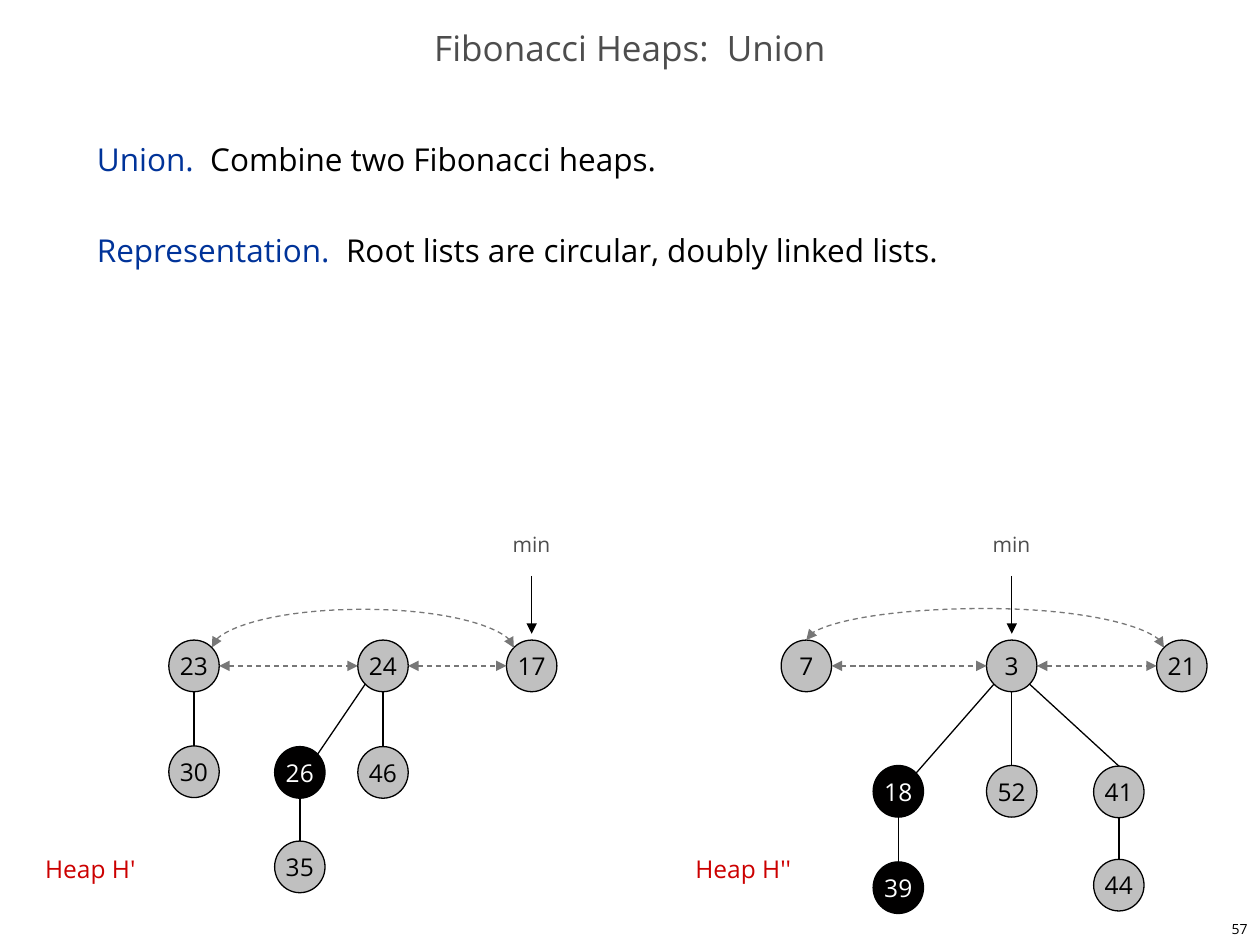
from math import cos, pi, sin
from lxml.etree import SubElement
from pptx import Presentation
from pptx.dml.color import RGBColor
from pptx.enum.dml import MSO_LINE
from pptx.enum.shapes import MSO_CONNECTOR, MSO_SHAPE
from pptx.enum.text import MSO_ANCHOR, PP_ALIGN
from pptx.oxml.ns import qn
from pptx.util import Inches, Pt

TOP, TOP_LEFT, LEFT, LOW_LEFT, LOW, LOW_RIGHT, RIGHT, TOP_RIGHT = range(8)
RX, RY = 2, 2.05
ROOT = 52.85
HEX = {"ink": "000000", "mark": "010000", "node": "C0C0C0", "link": "777777",
       "head": "4D4D4D", "term": "003399", "heap": "CC0000", "pale": "FFFFFF"}


class Deck:
    font = "Open Sans"
    cols = 100

    def __init__(self):
        self.show = Presentation()
        self.show.slide_width, self.show.slide_height = Inches(10), Inches(7.5)
        self.slide = self.show.slides.add_slide(self.show.slide_layouts[6])
        self.shapes = self.slide.shapes
        self.cell = self.show.slide_width / self.cols

    def at(self, *vals):
        return [round(val * self.cell) for val in vals]

    def color(self, name):
        return RGBColor.from_string(HEX[name])

    def put(self, item, form):
        for key, val in form.items():
            setattr(item, key, val)

    def words(self, par, runs, size, form):
        self.put(par, form)
        for term, hue in runs:
            run = par.add_run()
            run.text = term
            self.put(run.font, {"name": self.font, "size": Pt(size)})
            run.font.color.rgb = self.color(hue)

    def text(self, box, pars, size, frame=None, form=None, gap=0):
        body = self.shapes.add_textbox(*self.at(*box)).text_frame
        self.put(body, {"word_wrap": False, **(frame or {})})
        for num, runs in enumerate(pars):
            par = body.add_paragraph() if num else body.paragraphs[0]
            self.words(par, runs, size, form or {})
            if num:
                par.space_before = Pt(gap)

    def node(self, label, x, y, dark):
        oval = self.shapes.add_shape(
            MSO_SHAPE.OVAL, *self.at(x - RX, y - RY, 2 * RX, 2 * RY))
        oval.shadow.inherit = False
        oval.fill.solid()
        oval.fill.fore_color.rgb = self.color("mark" if dark else "node")
        oval.line.color.rgb = self.color("ink")
        oval.line.width = Pt(0.75)
        self.put(oval.text_frame, {"word_wrap": False,
                                   "vertical_anchor": MSO_ANCHOR.MIDDLE})
        self.words(oval.text_frame.paragraphs[0],
                   [(label, "pale" if dark else "ink")], 14,
                   {"alignment": PP_ALIGN.CENTER})
        return oval

    def line(self, ends, hue="ink", dash=False, tips=(), kind=MSO_CONNECTOR.STRAIGHT):
        line = self.shapes.add_connector(kind, *self.at(*ends))
        line.line.color.rgb = self.color(hue)
        line.line.width = Pt(0.75)
        if dash:
            line.line.dash_style = MSO_LINE.DASH
        props = line._element.spPr
        for tip in tips:
            SubElement(props.find(qn("a:ln")), qn("a:" + tip), type="triangle")
        SubElement(props, qn("a:effectLst"))
        return line

    def glue(self, line, joins):
        spot = line._element.find(".//" + qn("p:cNvCxnSpPr"))
        for tag, (oval, num) in zip(("stCxn", "endCxn"), joins):
            SubElement(spot, qn("a:" + tag), id=str(oval.shape_id), idx=str(num))

    def arc(self, x1, y1, x2, y2, rise=3.1):
        wide, tall = max(y1 - y2, 0.02), x1 - x2
        x, y = (x1 + x2 - wide) / 2, (y1 + y2 - tall) / 2
        line = self.line((x, y, x + wide, y + tall), "link", True,
                         ("headEnd", "tailEnd"), MSO_CONNECTOR.CURVE)
        props = line._element.spPr
        frame = props.find(qn("a:xfrm"))
        frame.set("rot", "5400000")
        frame.set("flipH", "1")
        geom = props.find(qn("a:prstGeom"))
        bend = geom.find(qn("a:avLst"))
        if bend is None:
            bend = SubElement(geom, qn("a:avLst"))
        SubElement(bend, qn("a:gd"), name="adj1",
                   fmla=f"val {round(rise / wide * 100000)}")


def site(x, y, num):
    turn = num * pi / 4
    return x - RX * sin(turn), y - RY * cos(turn)


NODES = {
    "23": (15.4, ROOT), "24": (30.4, ROOT), "17": (42.2, ROOT),
    "30": (15.4, 61.25), "26": (23.8, 61.3), "46": (30.4, 61.3), "35": (23.8, 68.8),
    "7": (64, ROOT), "3": (80.3, ROOT), "21": (93.8, ROOT),
    "18": (71.3, 62.8), "52": (80.3, 62.8), "41": (88.8, 62.85),
    "39": (71.3, 70.45), "44": (88.8, 70.25)}
DARK = {"26", "18", "39"}
EDGES = [
    ("23", LOW, "30", TOP), ("24", LOW_LEFT, "26", TOP_RIGHT),
    ("24", LOW, "46", TOP), ("26", LOW, "35", TOP),
    ("3", LOW_LEFT, "18", TOP_RIGHT), ("3", LOW, "52", TOP),
    ("3", LOW_RIGHT, "41", TOP), ("18", LOW, "39", TOP), ("41", LOW, "44", TOP)]
PEERS = [("23", "24"), ("24", "17"), ("7", "3"), ("3", "21")]
LOOPS = [("17", "23", TOP_RIGHT), ("21", "7", TOP)]


def main():
    deck = Deck()
    mid = {"vertical_anchor": MSO_ANCHOR.MIDDLE, "word_wrap": True}
    deck.text((79.2, 72.5, 20.8, 2.5), [[("57", "ink")]], 8, mid,
              {"alignment": PP_ALIGN.RIGHT})
    deck.text((0, 1.7, 100, 5), [[("Fibonacci Heaps:  Union", "head")]], 20, mid,
              {"alignment": PP_ALIGN.CENTER, "line_spacing": 0.7})
    deck.text((6.7, 10, 85.8, 59.2), [
        [("Union.  ", "term"), ("Combine two Fibonacci heaps.", "ink")],
        [("Representation.  ", "term"),
         ("Root lists are circular, doubly linked lists.", "ink")]],
        18, {"word_wrap": True}, {"line_spacing": Pt(26)}, 26)

    ovals = {key: deck.node(key, *spot, key in DARK) for key, spot in NODES.items()}
    both = {"hue": "link", "dash": True, "tips": ("headEnd", "tailEnd")}
    links = [(edge, {}) for edge in EDGES]
    links += [((a, RIGHT, b, LEFT), both) for a, b in PEERS]
    for (a, out, b, into), form in links:
        line = deck.line(site(*NODES[a], out) + site(*NODES[b], into), **form)
        deck.glue(line, ((ovals[a], out), (ovals[b], into)))
    for last, first, into in LOOPS:
        deck.arc(*site(*NODES[last], TOP_LEFT), *site(*NODES[first], into))

    for key in ("17", "3"):
        x = NODES[key][0]
        deck.text((x - 2.5, 41.7, 5.1, 3), [[("min", "head")]], 12)
        deck.line((x, 45.7, x, 50.3), tips=("tailEnd",))
    for name, x, wide in (("Heap H'", 2.6, 9.3), ("Heap H''", 54.2, 9.7)):
        deck.text((x, 67.3, wide, 3.3), [[(name, "heap")]], 14)
    deck.show.save("out.pptx")


if __name__ == "__main__":
    main()
